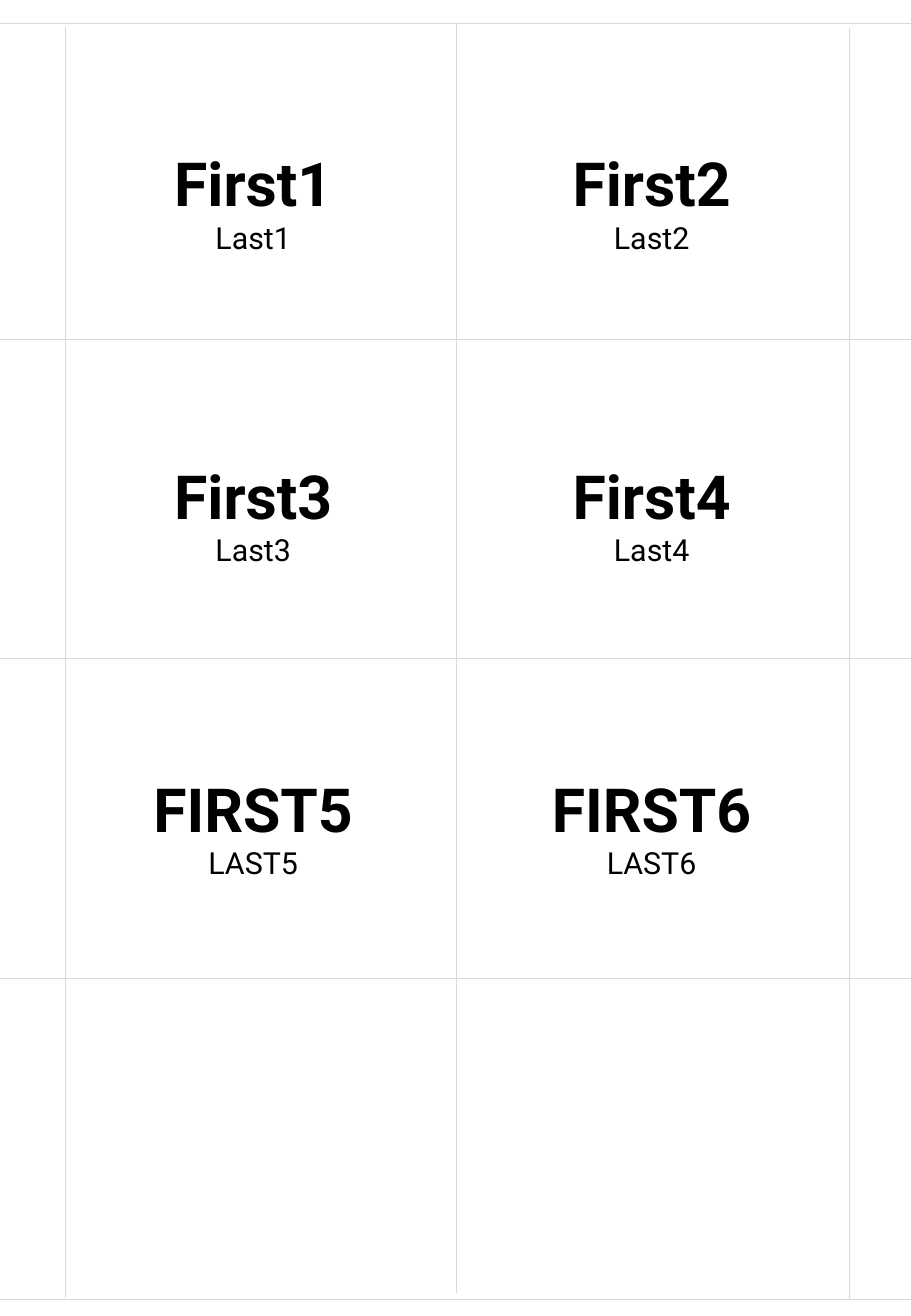
import pptx
import pptx.dml.color
import pptx.enum.shapes
import pptx.enum.text
import pptx.oxml.ns
import pptx.util
from lxml import etree
from pptx.util import Inches

PAGE_WIDTH = 7.5
PAGE_HEIGHT = 10.83
NAMES = [
    ("First1", "Last1"), ("First2", "Last2"),
    ("First3", "Last3"), ("First4", "Last4"),
    ("FIRST5", "LAST5"), ("FIRST6", "LAST6"),
]
COLUMNS = 2
CARD_LEFT, CARD_TOP = 0.51, 1.15
COLUMN_STEP, ROW_STEP = 3.28, 2.575
ROW_LINES = [0.19, 2.79, 5.42, 8.05, 10.69]
COLUMN_LINES = [(0.54, 0.22, 10.68), (3.76, 0.19, 10.64), (6.99, 0.23, 10.69)]


def color(value):
    return pptx.dml.color.RGBColor.from_string(value)


def add_cut_line(page, start, end):
    line = page.shapes.add_connector(
        pptx.enum.shapes.MSO_CONNECTOR.STRAIGHT,
        *(Inches(length) for length in start + end))
    line.line.color.rgb = color("D9D9D9")
    line.line.width = pptx.util.Pt(0.5)
    properties = line._element.spPr
    etree.SubElement(properties, pptx.oxml.ns.qn("a:effectLst"))


def add_name_card(page, left, top, names):
    box = page.shapes.add_textbox(
        Inches(left), Inches(top), Inches(3.15), Inches(1.01))
    frame = box.text_frame
    frame.text = "\n".join(names)
    frame.word_wrap = True
    frame.auto_size = pptx.enum.text.MSO_AUTO_SIZE.SHAPE_TO_FIT_TEXT
    for para, size, bold in zip(frame.paragraphs, (36, 18), (True, False)):
        para.alignment = pptx.enum.text.PP_ALIGN.CENTER
        for span in para.runs:
            span.font.name = "Roboto"
            span.font.size = pptx.util.Pt(size)
            span.font.bold = bold
            span.font.color.rgb = color("000000")


def main():
    deck = pptx.Presentation()
    deck.slide_width = Inches(PAGE_WIDTH)
    deck.slide_height = Inches(PAGE_HEIGHT)
    page = deck.slides.add_slide(deck.slide_layouts[6])

    for y in ROW_LINES:
        add_cut_line(page, (0, y), (PAGE_WIDTH, y))
    for x, top, bottom in COLUMN_LINES:
        add_cut_line(page, (x, top), (x, bottom))

    for index, names in enumerate(NAMES):
        row, column = divmod(index, COLUMNS)
        add_name_card(page, CARD_LEFT + column * COLUMN_STEP,
                      CARD_TOP + row * ROW_STEP, names)

    deck.save("out.pptx")


if __name__ == "__main__":
    main()
